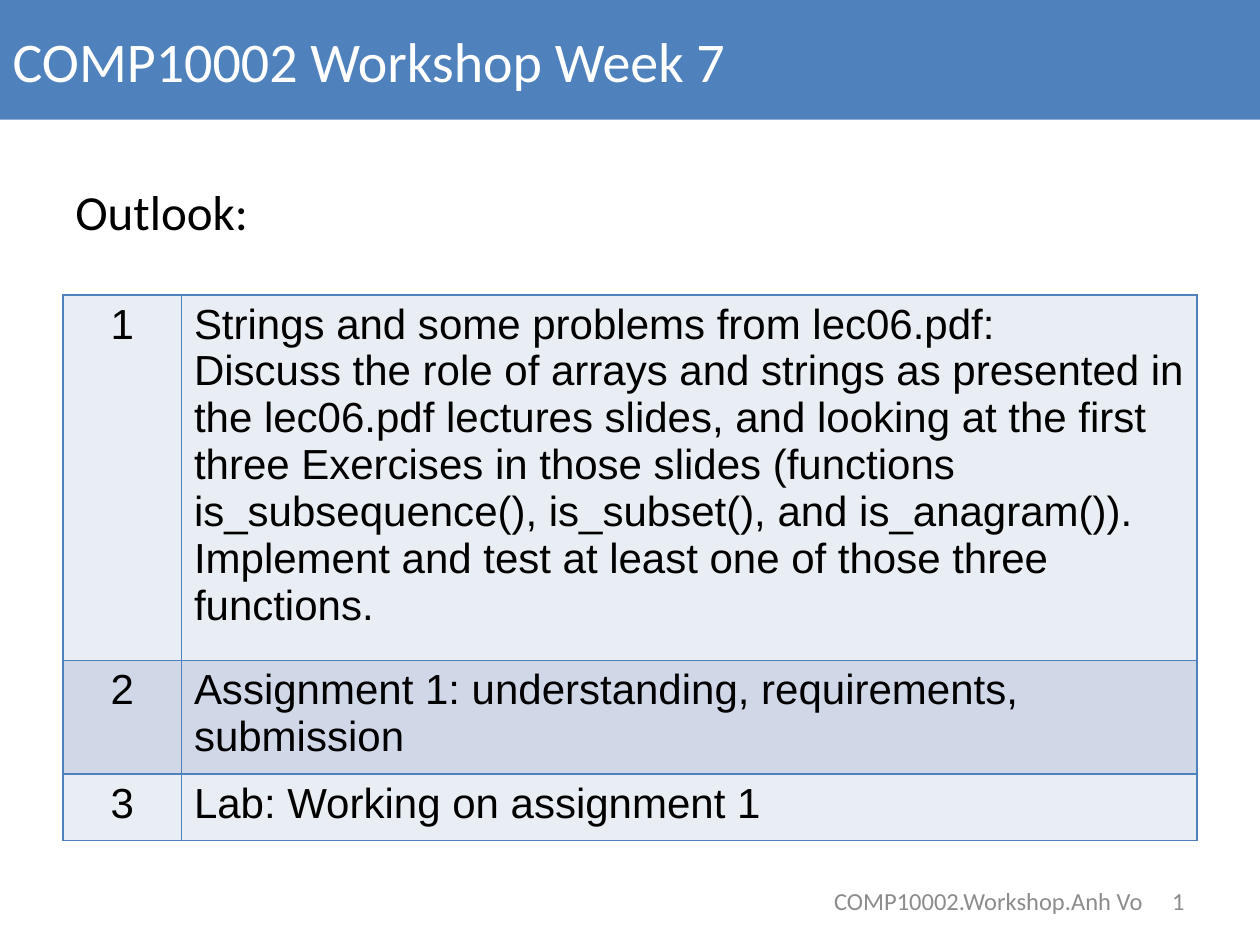
import pptx
import pptx.util
import pptx.dml.color
import pptx.enum.text
import pptx.oxml
import pptx.oxml.ns

Inches = pptx.util.Inches
ALIGN = pptx.enum.text.PP_ALIGN
ANCHOR = pptx.enum.text.MSO_ANCHOR
COLORS = {"blue": "4F81BD", "light": "E9EDF4", "band": "D0D8E8",
          "white": "FFFFFF", "black": "000000", "gray": "8C8C8C"}
AGENDA = [
    ("1", ["Strings and some problems from lec06.pdf:",
           "Discuss the role of arrays and strings as presented in the lec06.pdf "
           "lectures slides, and looking at the first three Exercises in those "
           "slides (functions is_subsequence(), is_subset(), and is_anagram()). "
           "Implement and test at least one of those three functions."]),
    ("2", ["Assignment 1: understanding, requirements, submission"]),
    ("3", ["Lab: Working on assignment 1"]),
]


def rgb(name):
    """Return the named colour."""
    return pptx.dml.color.RGBColor.from_string(COLORS[name])


def write(tf, lines, size, font, color, align=ALIGN.LEFT):
    """Fill a text frame with one formatted paragraph per line."""
    tf.word_wrap = True
    for i, line in enumerate(lines):
        p = tf.paragraphs[0] if i == 0 else tf.add_paragraph()
        p.alignment = align
        r = p.add_run()
        r.text = line
        for key, value in {"size": pptx.util.Pt(size), "name": font}.items():
            setattr(r.font, key, value)
        r.font.color.rgb = rgb(color)


def place(sp, box):
    """Move a shape to a box of left, top, width and height in inches."""
    for key, value in zip(("left", "top", "width", "height"), box):
        setattr(sp, key, Inches(value))


def add_title(slide, box, text):
    """Format the title placeholder as a filled band."""
    sp = slide.shapes.title
    place(sp, box)
    sp.fill.solid()
    sp.fill.fore_color.rgb = rgb("blue")
    sp.text_frame.vertical_anchor = ANCHOR.MIDDLE
    write(sp.text_frame, [text], 32, "Calibri", "white")


def add_text(slide, box, text, size, color, align=ALIGN.LEFT, anchor=ANCHOR.TOP):
    """Add a wrapped text box."""
    tf = slide.shapes.add_textbox(*map(Inches, box)).text_frame
    tf.vertical_anchor = anchor
    write(tf, [text], size, "Calibri", color, align)
    return tf


def add_borders(cell):
    """Draw a one point line on each side of a cell."""
    tcPr = cell._tc.get_or_add_tcPr()
    for i, side in enumerate(("lnL", "lnR", "lnT", "lnB")):
        tcPr.insert(i, pptx.oxml.parse_xml(
            f'<a:{side} {pptx.oxml.ns.nsdecls("a")} w="12700"><a:solidFill>'
            f'<a:srgbClr val="{COLORS["blue"]}"/></a:solidFill></a:{side}>'))


def add_agenda(slide, box, items, widths, heights):
    """Add the numbered agenda table with banded rows."""
    table = slide.shapes.add_table(len(items), 2, *map(Inches, box)).table
    for col, width in zip(table.columns, widths):
        col.width = Inches(width)
    for i, (number, lines) in enumerate(items):
        table.rows[i].height = Inches(heights[i])
        for j, (texts, align) in enumerate((([number], ALIGN.CENTER), (lines, ALIGN.LEFT))):
            cell = table.cell(i, j)
            cell.fill.solid()
            cell.fill.fore_color.rgb = rgb("band" if i % 2 else "light")
            write(cell.text_frame, texts, 24, "Arial", "black", align)
            add_borders(cell)


def add_footer(slide, box, text, number):
    """Add the footer text and, at its right end, the page number."""
    left, top, width, height = box
    number_width = 0.33
    for part in (((left, top, width - number_width, height), text),
                 ((left + width - number_width, top, number_width, height), number)):
        add_text(slide, *part, 14, "gray", ALIGN.RIGHT, ANCHOR.MIDDLE)


def main():
    """Build and save the slide."""
    prs = pptx.Presentation()
    prs.slide_width, prs.slide_height = Inches(10), Inches(7.5)
    slide = prs.slides.add_slide(prs.slide_layouts[5])
    add_title(slide, (0, 0, 10, 0.95), "COMP10002 Workshop Week 7")
    tf = add_text(slide, (0.5, 1.39, 9, 5.31), "Outlook:", 28, "black")
    tf.paragraphs[0].space_before = pptx.util.Pt(3)
    add_agenda(slide, (0.5, 2.34, 9, 4.08), AGENDA, (0.94, 8.06), (2.7, 0.85, 0.53))
    add_footer(slide, (5.45, 6.95, 4.05, 0.4), "COMP10002.Workshop.Anh Vo", "1")
    prs.save("out.pptx")


main()
